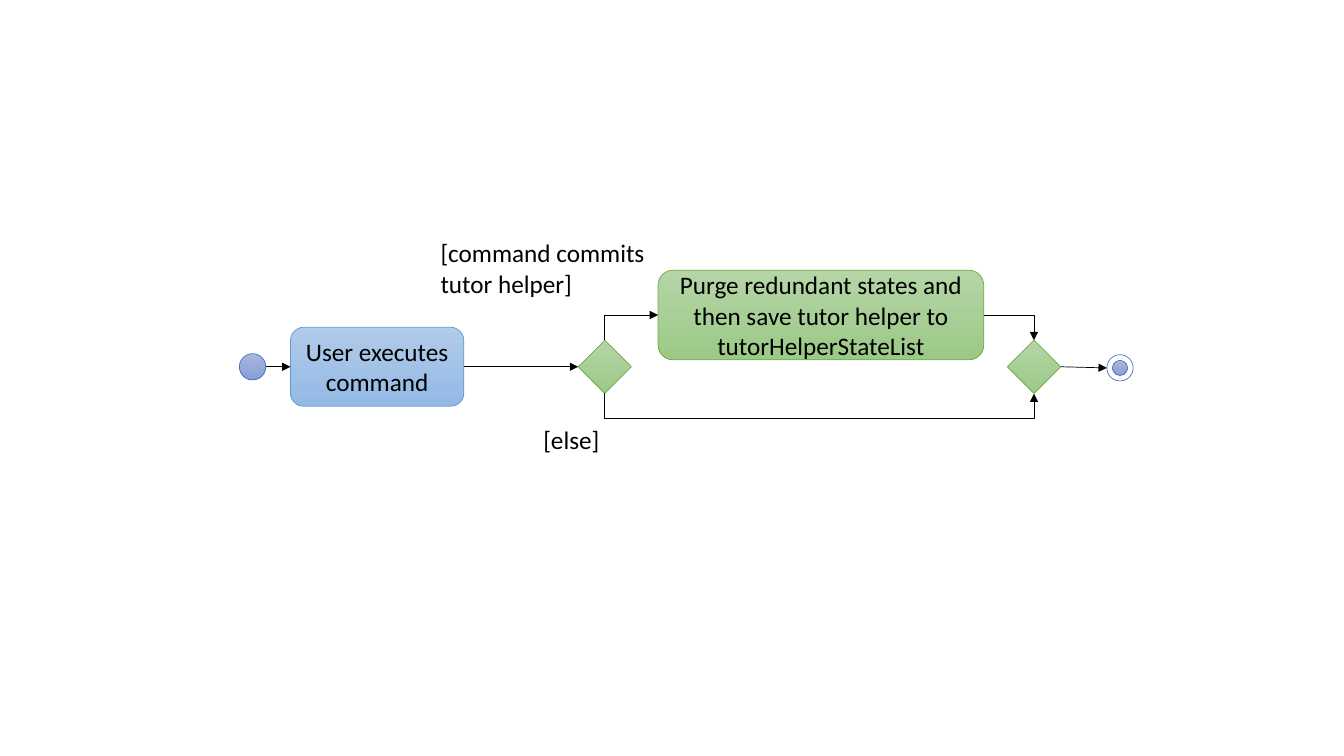
"""Build an activity diagram of saving tutor helper states after a command."""
from lxml import etree
from pptx import Presentation
from pptx.dml.color import RGBColor
from pptx.enum.shapes import MSO_CONNECTOR, MSO_SHAPE
from pptx.enum.text import MSO_ANCHOR, PP_ALIGN
from pptx.oxml.ns import qn
from pptx.util import Pt

STRAIGHT, ELBOW = MSO_CONNECTOR.STRAIGHT, MSO_CONNECTOR.ELBOW
OVAL, DIAMOND, ROUNDED = MSO_SHAPE.OVAL, MSO_SHAPE.DIAMOND, MSO_SHAPE.ROUNDED_RECTANGLE
CENTER, LEFT, MIDDLE, TOP = PP_ALIGN.CENTER, PP_ALIGN.LEFT, MSO_ANCHOR.MIDDLE, MSO_ANCHOR.TOP

INDIGO = ("A8B7DF", "889ED7", "4472C4")
BLUE = ("B1CBE9", "93B9E4", "5B9BD5")
GREEN = ("B5D5A7", "9CC987", "70AD47")
WHITE = ("FFFFFF", "FFFFFF", "4472C4")

FLOW_Y, BRANCH_Y, END_Y = 262, 225, 262.8
SPLIT_X, MERGE_X, HALF = 432, 738.6, 19


def rgb(value):
    return RGBColor.from_string(value)


def add_node(shapes, kind, cx, cy, w, h, colours):
    sp = shapes.add_shape(kind, Pt(cx - w / 2), Pt(cy - h / 2), Pt(w), Pt(h))
    sp.shadow.inherit = False
    top, bottom, outline = colours
    if top == bottom:
        sp.fill.solid()
        sp.fill.fore_color.rgb = rgb(top)
    else:
        sp.fill.gradient()
        sp.fill.gradient_angle = 270
        for stop, colour, position in zip(sp.fill.gradient_stops, (top, bottom), (0, 1)):
            stop.color.rgb = rgb(colour)
            stop.position = position
    sp.line.color.rgb = rgb(outline)
    sp.line.width = Pt(0.5)
    return sp


prs = Presentation()
prs.slide_width, prs.slide_height = Pt(960), Pt(540)
s = prs.slides.add_slide(prs.slide_layouts[6])

start = add_node(s.shapes, OVAL, 180.4, FLOW_Y, 18.8, 18.8, INDIGO)
command = add_node(s.shapes, ROUNDED, 269.4, FLOW_Y, 123.8, 56.4, BLUE)
purge = add_node(s.shapes, ROUNDED, 586.4, BRANCH_Y, 232.6, 64, GREEN)
split, merge = [add_node(s.shapes, DIAMOND, x, FLOW_Y, 2 * HALF, 2 * HALF, GREEN)
                for x in (SPLIT_X, MERGE_X)]
end = s.shapes.add_group_shape()
for size, colours in ((18.8, WHITE), (10.8, INDIGO)):
    add_node(end.shapes, OVAL, 800, END_Y, size, size, colours)

else_label = s.shapes.add_textbox(Pt(381), Pt(299.6), Pt(67), Pt(29))
commit_label = s.shapes.add_textbox(Pt(307.6), Pt(166.2), Pt(162.6), Pt(51))
for sp, text, align, anchor in (
    (command, "User executes command", CENTER, MIDDLE),
    (purge, "Purge redundant states and then save tutor helper to tutorHelperStateList", CENTER, MIDDLE),
    (else_label, "[else]", LEFT, TOP),
    (commit_label, "[command commits tutor helper]", LEFT, TOP),
):
    tf = sp.text_frame
    tf.word_wrap = True
    tf.vertical_anchor = anchor
    p = tf.paragraphs[0]
    p.text = text
    p.alignment = align
    p.font.name, p.font.size = "Calibri", Pt(18)
    p.font.color.rgb = rgb("000000")

else_x, else_y, else_half = (SPLIT_X + MERGE_X) / 2, FLOW_Y + HALF, (MERGE_X - SPLIT_X) / 2
arrows = []
for kind, x1, y1, x2, y2, arrow_end in (
    (STRAIGHT, 189.8, FLOW_Y, 207.5, FLOW_Y, "tailEnd"),
    (STRAIGHT, 331.3, FLOW_Y, SPLIT_X - HALF, FLOW_Y, "tailEnd"),
    (STRAIGHT, MERGE_X + HALF, FLOW_Y, 790.6, END_Y, "tailEnd"),
    (ELBOW, 470.1, BRANCH_Y, SPLIT_X, FLOW_Y - HALF, "headEnd"),
    (ELBOW, 702.7, BRANCH_Y, MERGE_X, FLOW_Y - HALF, "tailEnd"),
    (ELBOW, else_x + 0.1, else_y - else_half, else_x - 0.1, else_y + else_half, "tailEnd"),
):
    arrow = s.shapes.add_connector(kind, Pt(x1), Pt(y1), Pt(x2), Pt(y2))
    arrow.line.color.rgb = rgb("000000")
    arrow.line.width = Pt(0.5)
    spPr = arrow._element.spPr
    etree.SubElement(spPr.find(qn("a:ln")), qn("a:" + arrow_end), type="triangle")
    etree.SubElement(spPr, qn("a:effectLst"))
    arrows.append(arrow)

to_command, to_split, to_end, to_purge, to_merge, else_branch = arrows
to_command.end_connect(command, 1)
to_split.begin_connect(command, 3)
to_split.end_connect(split, 1)
to_end.begin_connect(merge, 3)
for arrow in (to_purge, to_merge):
    arrow._element.spPr.find(qn("a:prstGeom")).set("prst", "bentConnector2")

spPr = else_branch._element.spPr
spPr.find(qn("a:xfrm")).set("rot", "16200000")
guides = spPr.find(qn("a:prstGeom")).find(qn("a:avLst"))
etree.SubElement(guides, qn("a:gd"), name="adj1", fmla="val 9000000")

prs.save("out.pptx")
